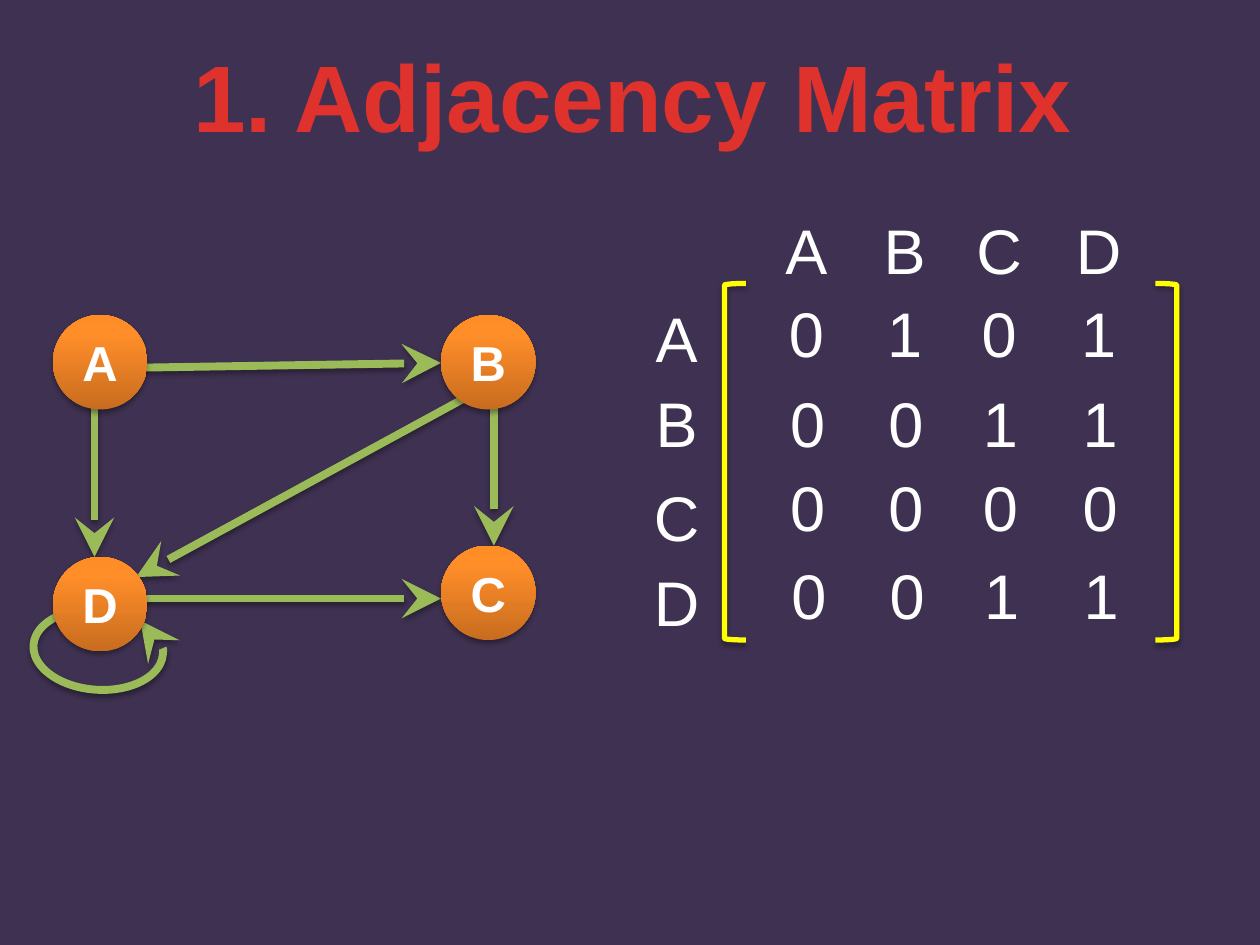
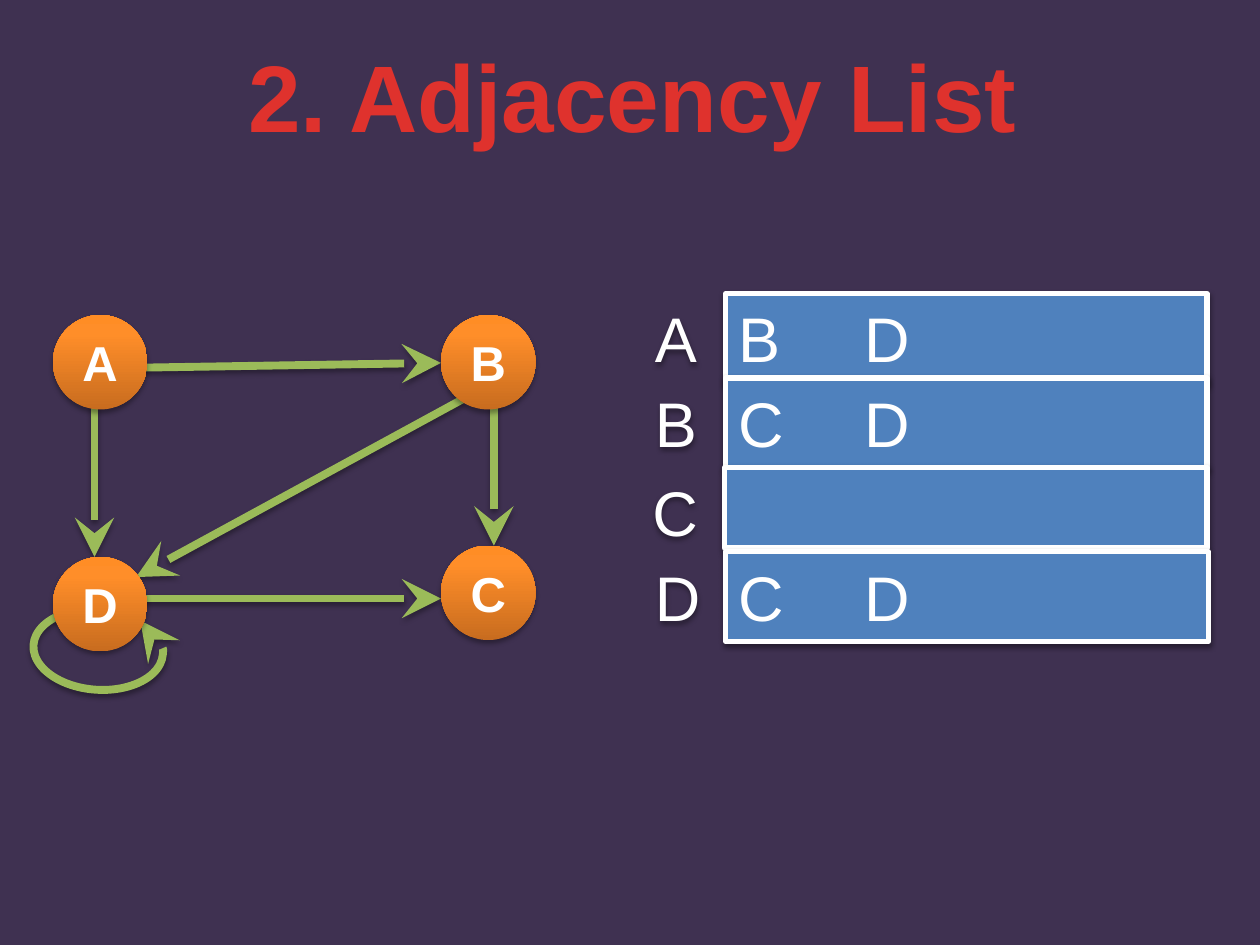
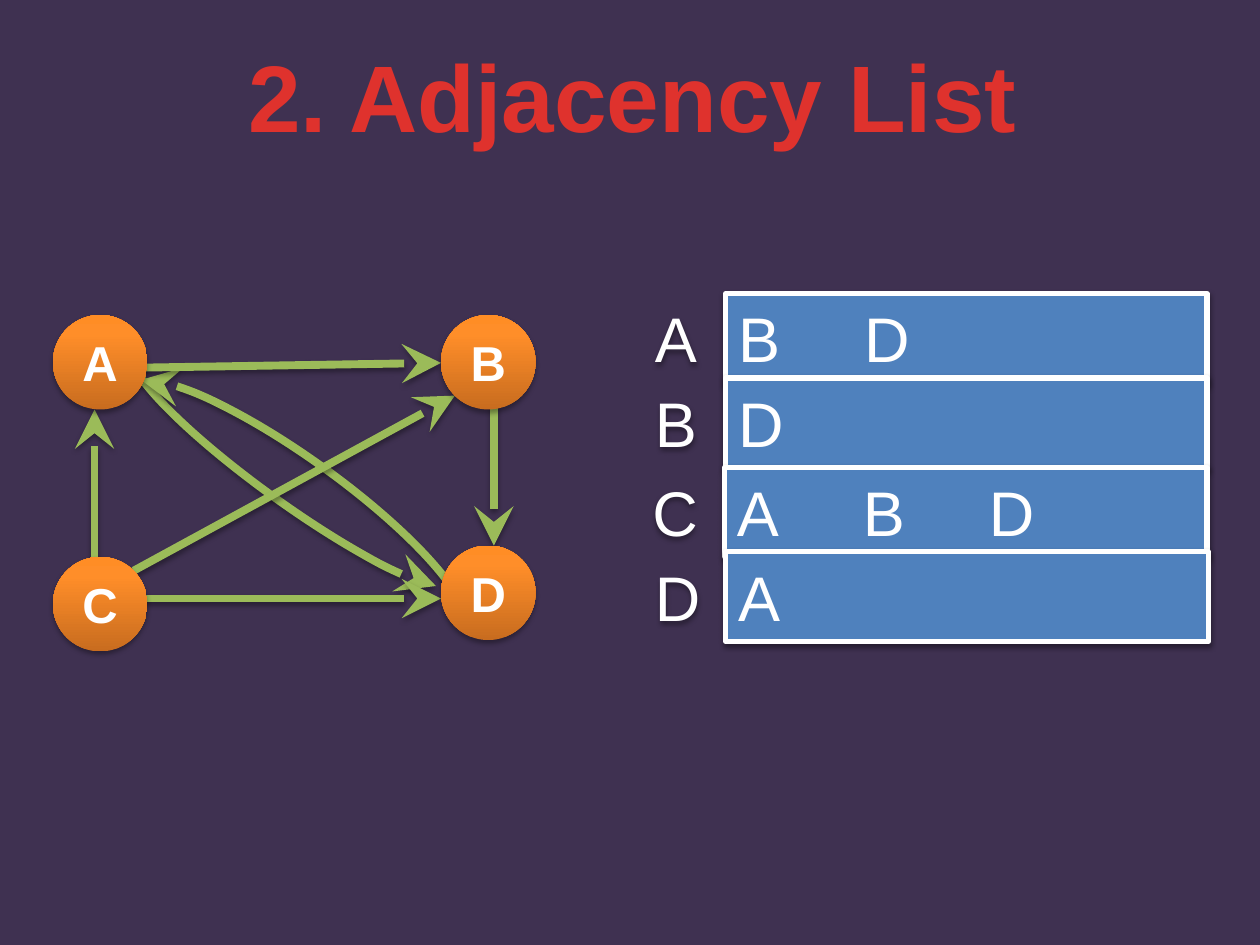
import copy
import dataclasses

import lxml.etree
import pptx
import pptx.dml.color
import pptx.enum.shapes
import pptx.enum.text
import pptx.oxml.ns
import pptx.util

Inches, Pt = pptx.util.Inches, pptx.util.Pt
RGB = pptx.dml.color.RGBColor.from_string
qn = pptx.oxml.ns.qn
SHAPE = pptx.enum.shapes.MSO_SHAPE
ALIGN = pptx.enum.text.PP_ALIGN
ANCHOR = pptx.enum.text.MSO_ANCHOR


@dataclasses.dataclass(frozen=True)
class Theme:
    back: str = "3F3151"
    title: str = "DF322D"
    text: str = "FFFFFF"
    edge: str = "9BBB59"
    bracket: str = "FFFF00"
    cell: str = "4F81BD"
    node_stops: tuple = ((0, "C86C1F"), (0.8, "FF8E29"), (1, "FF8D25"))
    title_font: tuple = (("name", "Arial"), ("size", Pt(54)), ("bold", True))
    node_font: tuple = (("name", "Arial"), ("size", Pt(28)), ("bold", True))
    body_font: tuple = (("name", "Arial"), ("size", Pt(36)), ("bold", False))
    edge_width: float = 4.5
    frame_width: float = 3
    text_height: float = 0.71


T = Theme()

# Graph parts, relative to the graph box: node places, then edges (x1, y1, x2, y2)
NODE = 0.75
NODE_PLACES = [(0, 0), (3.08, 1.83), (3.08, 0), (0, 1.92)]
TOP = (0.58, 0.42, 3.08, 0.38)
BOTTOM = (0.58, 2.25, 3.08, 2.25)
RIGHT_DOWN = (3.5, 0.67, 3.5, 1.83)
LEFT_DOWN = (0.33, 0.67, 0.33, 1.92)
LEFT_UP = (0.33, 2.08, 0.33, 0.75)
DIAGONAL_DOWN = (3.25, 0.67, 0.66, 2.08)
DIAGONAL_UP = (0.64, 2.03, 3.19, 0.64)

# Curved edges: place in the graph box, rotation, arc adjustments
SELF_LOOP = ((0.04, 2.14, 0.64, 1.03), 274, (128.32, 77.12))
BOW_OUT = ((1.63, -0.35, 0.55, 3.13), 305.8, (162.7, 51.77))
BOW_BACK = ((1.54, -0.12, 0.77, 3.29), 125.8, (162.7, 51.77))

# List rows, relative to the list box: top, label left, row left, row right
LIST_ROWS = [(0, 0.02, 0.68, 4.5), (0.67, 0.02, 0.68, 4.5),
             (1.38, 0, 0.67, 4.5), (2.05, 0.02, 0.68, 4.51)]
TAB_STOPS = (1, 2)

GRAPH_BOX = (0.42, 2.5)
MATRIX_BOX = (5.08, 1.63)
LIST_BOX = (5.08, 2.33)


def inches(*values):
    return [Inches(v) for v in values]


def shadow(sp, alpha=35, dist=1.8):
    """Soft shadow straight below the shape."""
    spPr = sp._element.spPr
    effects = spPr.find(qn("a:effectLst"))
    if effects is None:
        effects = lxml.etree.SubElement(spPr, qn("a:effectLst"))
    outer = lxml.etree.SubElement(
        effects, qn("a:outerShdw"), blurRad=str(Pt(3.1)), dist=str(Pt(dist)),
        dir="5400000", rotWithShape="0")
    color = lxml.etree.SubElement(outer, qn("a:srgbClr"), val="000000")
    lxml.etree.SubElement(color, qn("a:alpha"), val=str(alpha * 1000))


def outline(sp, color, width, arrow=False):
    sp.line.color.rgb = RGB(color)
    sp.line.width = Pt(width)
    if arrow:
        lxml.etree.SubElement(sp._element.spPr.find(qn("a:ln")), qn("a:tailEnd"),
                              type="stealth", w="lg", len="lg")


def add_shape(shapes, kind, at, adjust=(), flip=False):
    sp = shapes.add_shape(kind, *inches(*at))
    sp.shadow.inherit = False
    for i, value in enumerate(adjust):
        sp.adjustments[i] = value
    if flip:
        sp._element.spPr.find(qn("a:xfrm")).set("flipH", "1")
    return sp


def write(sp, text, font, color=T.text, align=ALIGN.CENTER, anchor=ANCHOR.TOP):
    tf = sp.text_frame
    tf.word_wrap = True
    tf.vertical_anchor = anchor
    p = tf.paragraphs[0]
    p.alignment = align
    r = p.add_run()
    r.text = text
    for name, value in font:
        setattr(r.font, name, value)
    r.font.color.rgb = RGB(color)
    return p


def set_tabs(p):
    tabs = lxml.etree.SubElement(p._p.get_or_add_pPr(), qn("a:tabLst"))
    for stop in TAB_STOPS:
        lxml.etree.SubElement(tabs, qn("a:tab"), pos=str(Inches(stop)), algn="l")


def add_text(s, text, at, font=T.body_font, **style):
    sp = s.shapes.add_textbox(*inches(*at))
    write(sp, text, font, **style)
    return sp


def add_centred(s, text, centre, top, width):
    add_text(s, text, (centre - width / 2, top, width, T.text_height))


def add_slide(prs, title, title_width):
    s = prs.slides.add_slide(prs.slide_layouts[6])
    s.background.fill.solid()
    s.background.fill.fore_color.rgb = RGB(T.back)
    add_text(s, title, (5.02 - title_width / 2, 0.25, title_width, 1.01),
             T.title_font, color=T.title)
    return s


def add_node(shapes, name, x, y):
    sp = add_shape(shapes, SHAPE.OVAL, (x, y, NODE, NODE))
    sp.fill.gradient()
    sp.fill.gradient_angle = 90
    stops = sp._element.spPr.find(".//" + qn("a:gsLst"))
    stops.append(copy.deepcopy(stops[0]))
    for stop, (position, color) in zip(sp.fill.gradient_stops, T.node_stops):
        stop.position = position
        stop.color.rgb = RGB(color)
    sp.line.fill.background()
    shadow(sp)
    write(sp, name, T.node_font, anchor=ANCHOR.MIDDLE)


def add_graph(s, box, names, curves, edges):
    """Directed graph: curved edges, straight edges, then nodes on top."""
    x, y = box
    shapes = s.shapes.add_group_shape().shapes
    for (dx, dy, w, h), rotation, adjust in curves:
        sp = add_shape(shapes, SHAPE.ARC, (x + dx, y + dy, w, h), adjust, flip=True)
        sp.rotation = rotation
        sp.fill.background()
        outline(sp, T.edge, T.edge_width, arrow=True)
        shadow(sp)
    for x1, y1, x2, y2 in edges:
        sp = shapes.add_connector(pptx.enum.shapes.MSO_CONNECTOR.STRAIGHT,
                                  *inches(x + x1, y + y1, x + x2, y + y2))
        outline(sp, T.edge, T.edge_width, arrow=True)
        shadow(sp)
    for name, (dx, dy) in zip(names, NODE_PLACES):
        add_node(shapes, name, x + dx, y + dy)


def add_matrix(s, box, names, rows):
    x, y = box
    centres = [x + dx for dx in (1.32, 2.1, 2.85, 3.64)]
    # Column and row headings
    for name, centre in zip(names, centres):
        add_centred(s, name, centre, y, 0.57)
    for name, dy in zip(names, (0.7, 1.37, 2.12, 2.79)):
        add_centred(s, name, x + 0.29, y + dy, 0.57)
    # Brackets
    for dx, flip in ((0.67, False), (4.09, True)):
        sp = add_shape(s.shapes, SHAPE.LEFT_BRACKET, (x + dx, y + 0.62, 0.17, 2.83),
                       [0.08], flip)
        sp.fill.background()
        outline(sp, T.bracket, T.frame_width)
        shadow(sp)
    # Entries, each row drifting slightly to the right
    row_places = ((0.66, 0), (1.37, 0.01), (2.04, 0.01), (2.74, 0.02))
    for row, (dy, drift) in zip(rows, row_places):
        for entry, centre in zip(row, centres):
            add_centred(s, entry, centre + drift, y + dy, 0.48)


def add_list(s, box, names, neighbours):
    x, y = box
    # Vertex labels
    for name, (dy, left, _, _) in zip(names, LIST_ROWS):
        label = add_text(s, name, (x + left, y + dy, 4.42 - left, T.text_height),
                         align=ALIGN.LEFT)
        shadow(label, 38, 1.6)
    # Rows of neighbours, lower when empty
    for items, (dy, _, left, right) in zip(neighbours, LIST_ROWS):
        height = T.text_height if items else 0.64
        sp = add_shape(s.shapes, SHAPE.RECTANGLE,
                       (x + left, y + dy, right - left, height))
        sp.fill.solid()
        sp.fill.fore_color.rgb = RGB(T.cell)
        outline(sp, T.text, T.frame_width)
        shadow(sp, 38, 1.6)
        if items:
            set_tabs(write(sp, "\t".join(items), T.body_font, align=ALIGN.LEFT))


def main():
    prs = pptx.Presentation()
    prs.slide_width, prs.slide_height = inches(10, 7.5)
    loop_graph = ("ACBD", [SELF_LOOP],
                  [DIAGONAL_DOWN, RIGHT_DOWN, LEFT_DOWN, BOTTOM, TOP])
    bow_graph = ("ADBC", [BOW_OUT, BOW_BACK],
                 [LEFT_UP, DIAGONAL_UP, RIGHT_DOWN, BOTTOM, TOP])

    s = add_slide(prs, "1. Adjacency Matrix", 7.38)
    add_graph(s, GRAPH_BOX, *loop_graph)
    add_matrix(s, MATRIX_BOX, "ABCD", ["0101", "0011", "0000", "0011"])

    for graph, neighbours in ((loop_graph, ["BD", "CD", "", "CD"]),
                              (bow_graph, ["BD", "D", "ABD", "A"])):
        s = add_slide(prs, "2. Adjacency List", 6.48)
        add_graph(s, GRAPH_BOX, *graph)
        add_list(s, LIST_BOX, "ABCD", neighbours)

    prs.save("out.pptx")


if __name__ == "__main__":
    main()
